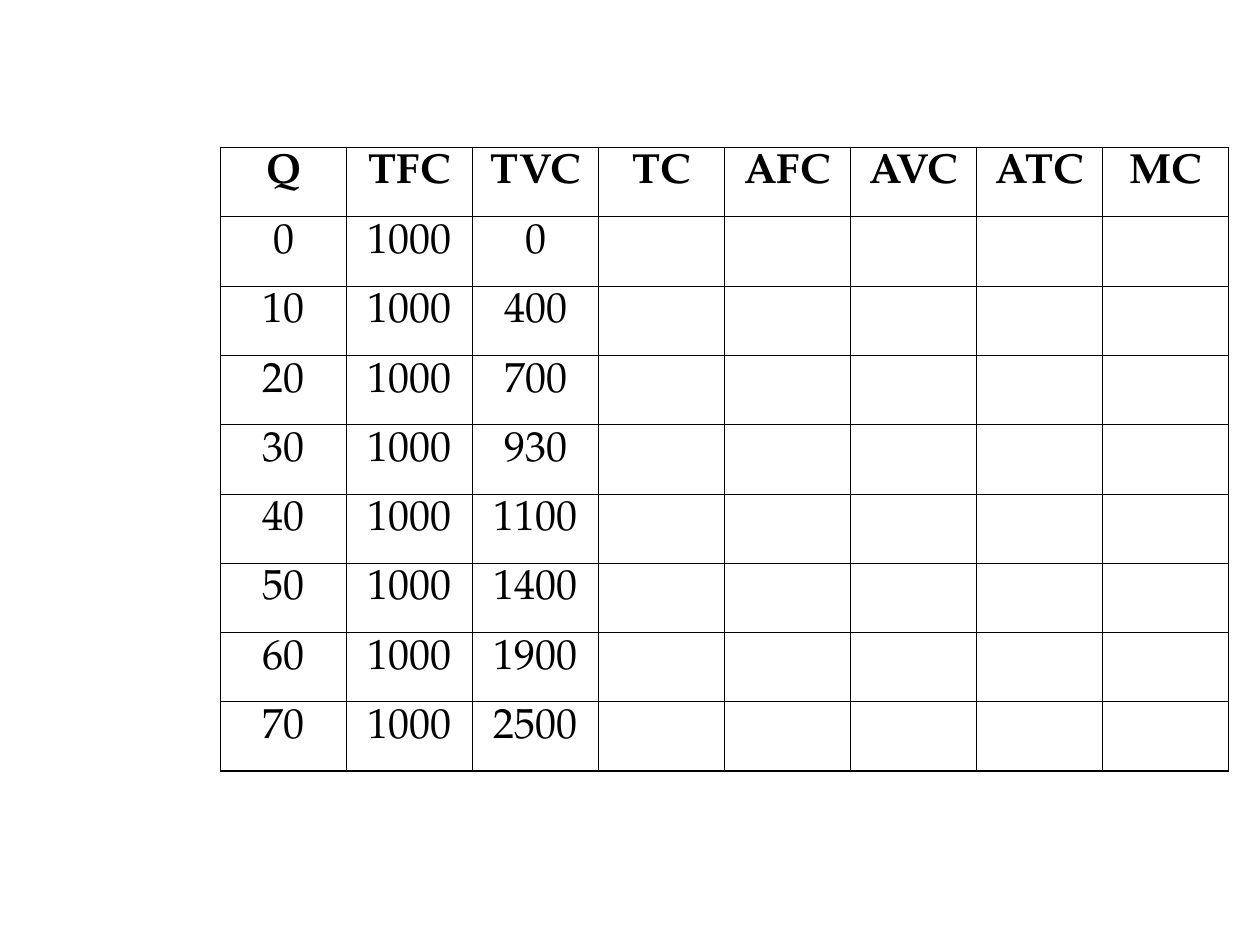
import lxml.etree
import pptx
import pptx.dml.color
import pptx.enum.text
import pptx.oxml.ns
import pptx.util
from pptx.util import Inches

BLACK = pptx.dml.color.RGBColor(0, 0, 0)
FONT = "TeX Gyre Pagella"
INNER_WIDTH = pptx.util.Pt(0.45)
OUTER_WIDTH = pptx.util.Pt(1.08)

HEADERS = ["Q", "TFC", "TVC", "TC", "AFC", "AVC", "ATC", "MC"]
FIXED_COST = 1000
VARIABLE_COSTS = [0, 400, 700, 930, 1100, 1400, 1900, 2500]
QUANTITY_STEP = 10


def set_text(cell, text, bold):
    p = cell.text_frame.paragraphs[0]
    p.text = text
    p.alignment = pptx.enum.text.PP_ALIGN.CENTER
    p.space_before = pptx.util.Pt(6)
    font = p.runs[0].font
    font.name = FONT
    font.size = pptx.util.Pt(24)
    font.bold = bold
    font.color.rgb = BLACK


def set_borders(cell, outer_sides):
    qn = pptx.oxml.ns.qn
    tc_pr = cell._tc.get_or_add_tcPr()
    for i, side in enumerate("LRTB"):
        width = OUTER_WIDTH if side in outer_sides else INNER_WIDTH
        ln = lxml.etree.Element(qn(f"a:ln{side}"), w=str(int(width)))
        fill = lxml.etree.SubElement(ln, qn("a:solidFill"))
        lxml.etree.SubElement(fill, qn("a:srgbClr"), val=str(BLACK))
        tc_pr.insert(i, ln)


def find_outer_sides(row, col, last_row, last_col):
    at_edge = {"L": col == 0, "R": col == last_col, "T": row == 0, "B": row == last_row}
    return {side for side, outer in at_edge.items() if outer}


def add_cost_table(slide):
    rows = [HEADERS] + [
        [i * QUANTITY_STEP, FIXED_COST, cost] for i, cost in enumerate(VARIABLE_COSTS)
    ]
    n_rows, n_cols = len(rows), len(HEADERS)
    table = slide.shapes.add_table(
        n_rows, n_cols, Inches(1.75), Inches(1.17), Inches(n_cols), Inches(0.55 * n_rows)
    ).table
    table.horz_banding = False
    table.first_row = False
    for r, values in enumerate(rows):
        for c in range(n_cols):
            cell = table.cell(r, c)
            cell.fill.background()
            set_borders(cell, find_outer_sides(r, c, n_rows - 1, n_cols - 1))
            if c < len(values):
                set_text(cell, str(values[c]), bold=r == 0)


def main():
    prs = pptx.Presentation()
    prs.slide_width = Inches(10)
    prs.slide_height = Inches(7.5)
    slide = prs.slides.add_slide(prs.slide_layouts[6])
    add_cost_table(slide)
    prs.save("out.pptx")


if __name__ == "__main__":
    main()
